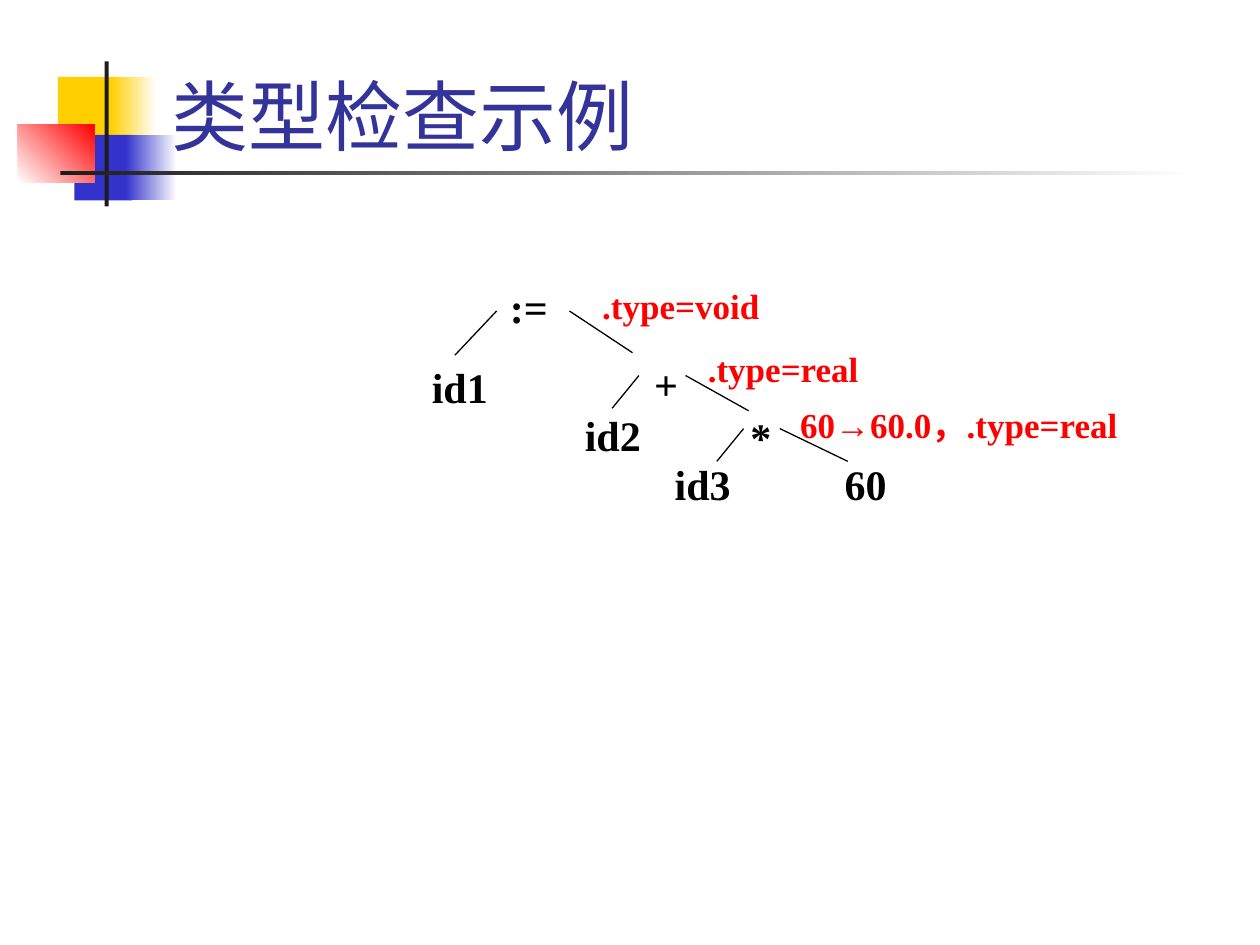
from lxml import etree
from pptx import Presentation
from pptx import util as u
from pptx.dml.color import RGBColor
from pptx.enum import shapes, text
from pptx.oxml import ns

COLORS = {
    "white": "FFFFFF",
    "black": "000000",
    "gold": "FFCF01",
    "blue": "3333CC",
    "red": "FF0000",
    "charcoal": "1C1C1C",
    "title": "333399",
}
FONT = "Times New Roman"
TITLE_FORMAT = {"name": FONT, "size": u.Pt(44), "bold": False}
NODE_FORMAT = {"name": FONT, "size": u.Pt(24), "bold": True}
TYPE_FORMAT = {"name": FONT, "size": u.Pt(20), "bold": True}
LEFT, CENTER = text.PP_ALIGN.LEFT, text.PP_ALIGN.CENTER

ORNAMENTS = [
    ((1.17, 1.55, 1.22, 1.32), ("gold",), 0),
    ((2.24, 1.55, 0.91, 1.32), ("gold", "white"), 0),
    ((1.5, 2.72, 1.17, 1.32), ("blue",), 0),
    ((2.54, 2.72, 1.02, 1.32), ("blue", "white"), 0),
    ((0.36, 2.51, 1.55, 1.17), ("white", "red"), 45),
    ((2.11, 1.24, 0.08, 2.92), ("charcoal",), 0),
    ((1.22, 3.45, 22.86, 0.08), ("charcoal", "white"), 0),
]
NODES = [
    ("id1", 8.1, 7.16, 2.34, CENTER),
    (":=", 10.03, 5.56, 2.18, LEFT),
    ("id2", 10.31, 8.13, 4.09, CENTER),
    ("id3", 12.12, 9.12, 4.09, CENTER),
    ("+", 12.34, 7.11, 2.18, CENTER),
    ("*", 14.25, 8.18, 2.18, CENTER),
    ("60", 16.36, 9.12, 2.18, CENTER),
]
BRANCHES = [
    (12.78, 8.13, 12.78, 8.13),
    (10.01, 6.27, 9.17, 7.16),
    (11.48, 6.27, 12.75, 7.11),
    (13.82, 7.57, 15.09, 8.28),
    (15.72, 8.64, 17.09, 9.3),
    (14.99, 8.64, 14.45, 9.3),
    (12.88, 7.57, 12.34, 8.23),
]
TYPES = [
    ("60→60.0，.type=real", 15.88, 8, 7.37),
    (".type=real", 14.02, 6.88, 3.86),
    (".type=void", 11.89, 5.61, 5.21),
]


def color(name):
    return RGBColor.from_string(COLORS[name])


def lengths(values):
    return [u.Cm(value) for value in values]


def write(box, words, font_format, color_name, align):
    box.text_frame.text = words
    para = box.text_frame.paragraphs[0]
    para.alignment = align
    para.space_before = u.Pt(0)
    span = para.runs[0]
    for key, value in font_format.items():
        setattr(span.font, key, value)
    span.font.color.rgb = color(color_name)


def add_ornament(page, place, color_names, angle):
    block = page.shapes.add_shape(shapes.MSO_SHAPE.RECTANGLE, *lengths(place))
    block.shadow.inherit = False
    block.line.fill.background()
    if len(color_names) == 1:
        block.fill.solid()
        block.fill.fore_color.rgb = color(color_names[0])
        return
    block.fill.gradient()
    block.fill.gradient_angle = angle
    for stop, name in zip(block.fill.gradient_stops, color_names):
        stop.color.rgb = color(name)


def set_title(page, words):
    title = page.shapes.title
    title.element.getparent().append(title.element)
    title.left, title.top, title.width, title.height = lengths((3.2, 0.2, 21.64, 3.18))
    title.text_frame.auto_size = text.MSO_AUTO_SIZE.NONE
    title.text_frame.vertical_anchor = text.MSO_ANCHOR.BOTTOM
    write(title, words, TITLE_FORMAT, "title", LEFT)


def add_label(page, words, place, font_format, color_name, align):
    box = page.shapes.add_textbox(*lengths(place))
    box.text_frame.word_wrap = True
    box.text_frame.auto_size = text.MSO_AUTO_SIZE.SHAPE_TO_FIT_TEXT
    write(box, words, font_format, color_name, align)


def add_branch(page, ends):
    branch = page.shapes.add_connector(shapes.MSO_CONNECTOR.STRAIGHT, *lengths(ends))
    branch.line.color.rgb = color("black")
    branch.line.width = u.Pt(0.75)
    etree.SubElement(branch.element.spPr, ns.qn("a:effectLst"))


def main():
    deck = Presentation()
    deck.slide_width, deck.slide_height = lengths((25.4, 19.05))
    page = deck.slides.add_slide(deck.slide_layouts[5])
    for place, color_names, angle in ORNAMENTS:
        add_ornament(page, place, color_names, angle)
    set_title(page, "类型检查示例")
    for words, left, top, width, align in NODES:
        add_label(page, words, (left, top, width, 1.27), NODE_FORMAT, "black", align)
    for ends in BRANCHES:
        add_branch(page, ends)
    for words, left, top, width in TYPES:
        add_label(page, words, (left, top, width, 1.12), TYPE_FORMAT, "red", LEFT)
    deck.save("out.pptx")


if __name__ == "__main__":
    main()
